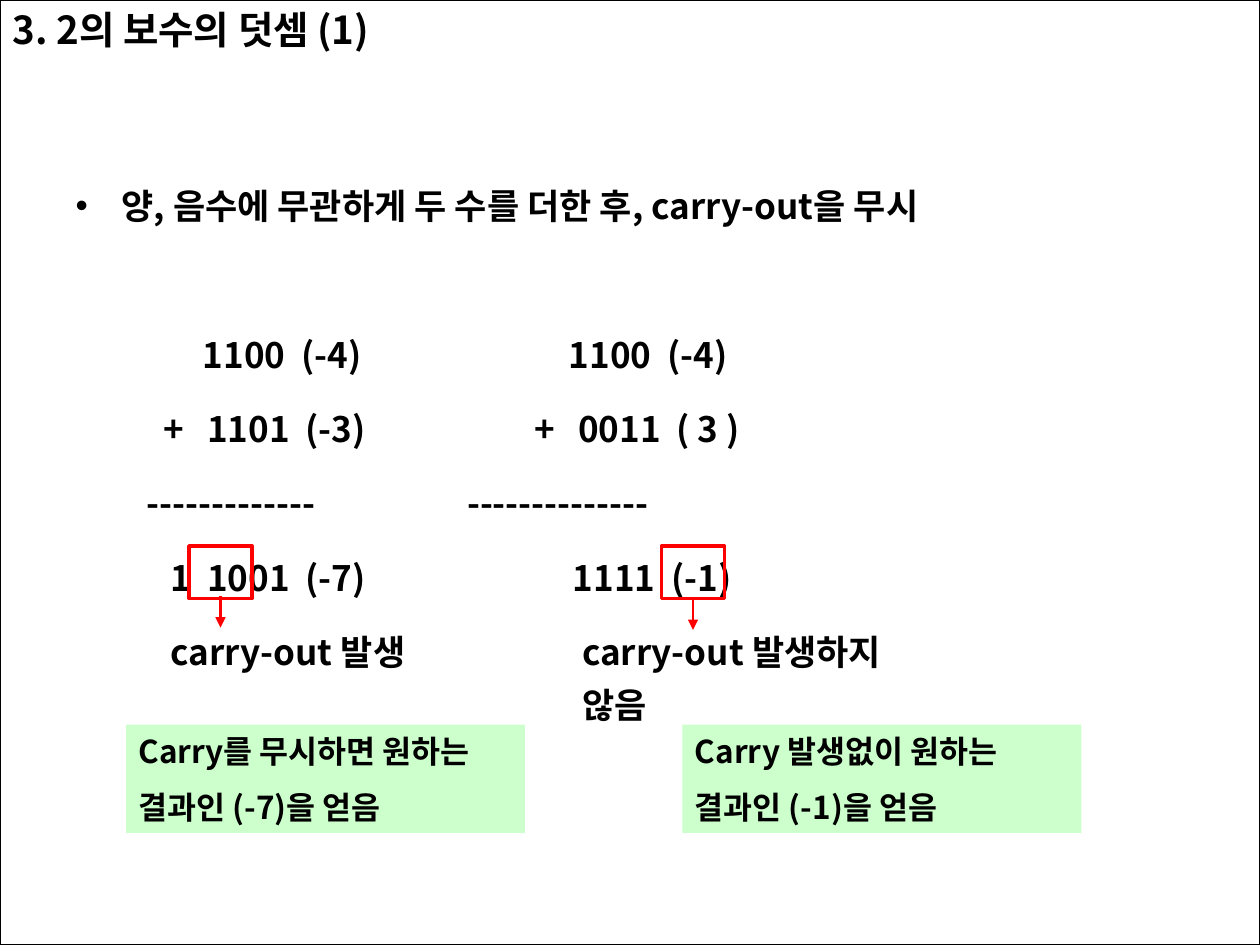
from lxml import etree
from pptx import Presentation
from pptx.dml.color import RGBColor
from pptx.enum import shapes, text
from pptx.oxml import ns
from pptx.util import Pt

FONT = "Noto Sans CJK KR"
BLACK = RGBColor(0x00, 0x00, 0x00)
RED = RGBColor(0xFF, 0x00, 0x00)
GREEN = RGBColor(0xCC, 0xFF, 0xCC)

BODY_LEFT, SUMS_TOP = 36, 180.9
ROW_PITCH, ROW_GAP = 42.5, 12.5
RULE = "-" * 13

# Each column lists its cells as (row, offset, words).
COLUMNS = [
    [(1, 50.1, "+"), (2, 40.9, RULE), (3, 54.5, "1"), (4, 54.5, "carry-out 발생")],
    [(0, 72.8, "1100"), (1, 75.4, "1101"), (3, 75.4, "1001")],
    [(0, 129.2, "(-4)"), (1, 131.6, "(-3)"), (3, 131.6, "(-7)")],
    [(1, 262.2, "+"), (2, 223.8, RULE + "-"), (4, 289.5, "carry-out 발생하지 않음")],
    [(0, 282, "1100"), (1, 287.3, "0011"), (3, 284.3, "1111")],
    [(0, 338.3, "(-4)"), (1, 343.6, "( 3 )"), (3, 340.6, "(-1)")],
]


def place(shape, left, top, width, height):
    """Move and size a shape, in points."""
    shape.left, shape.top = Pt(left), Pt(top)
    shape.width, shape.height = Pt(width), Pt(height)


def prepare(frame, anchor=text.MSO_ANCHOR.MIDDLE):
    """Give a text frame a fixed size, wrapping and an anchor."""
    frame.word_wrap = True
    frame.auto_size = text.MSO_AUTO_SIZE.NONE
    frame.vertical_anchor = anchor


def write(paragraph, words, size, before=0, spacing=1.0):
    """Add one bold black run to a left-aligned paragraph."""
    paragraph.alignment = text.PP_ALIGN.LEFT
    paragraph.line_spacing = spacing
    paragraph.space_before = Pt(before)
    run = paragraph.add_run()
    run.text = words
    run.font.name, run.font.size, run.font.bold = FONT, Pt(size), True
    run.font.color.rgb = BLACK
    etree.SubElement(run.font._element, ns.qn("a:ea"), typeface=FONT)


def indent(paragraph, margin, first=0):
    """Set the left margin and first-line indent of a paragraph."""
    props = paragraph._p.get_or_add_pPr()
    props.set("marL", str(Pt(margin)))
    props.set("indent", str(Pt(first)))
    return props


def add_title(slide):
    """Fill the title placeholder."""
    title = slide.shapes.title
    place(title, 0, 0, 381, 33)
    prepare(title.text_frame)
    write(title.text_frame.paragraphs[0], "3. 2의 보수의 덧셈 (1)", 22)


def add_rule(slide):
    """Fill the body placeholder with the bulleted rule of addition."""
    body = slide.placeholders[1]
    place(body, BODY_LEFT, 95.8, 636, 40)
    prepare(body.text_frame, text.MSO_ANCHOR.TOP)
    rule = body.text_frame.paragraphs[0]
    props = indent(rule, 26.2, -26.2)
    etree.SubElement(props, ns.qn("a:buChar"), char="•")
    write(rule, "양, 음수에 무관하게 두 수를 더한 후, carry-out을 무시", 20, spacing=1.25)


def add_column(slide, cells):
    """Add one column of the worked additions, row by row."""
    start = min(offset for _, offset, _ in cells)
    first, last = cells[0][0], cells[-1][0]
    width = 270 if last == 4 else 80
    column = slide.shapes.add_textbox(
        Pt(BODY_LEFT + start), Pt(SUMS_TOP + first * ROW_PITCH),
        Pt(width), Pt((last - first + 1) * ROW_PITCH))
    frame = column.text_frame
    prepare(frame, text.MSO_ANCHOR.TOP)
    previous = first
    for index, (row, offset, words) in enumerate(cells):
        paragraph = frame.add_paragraph() if index else frame.paragraphs[0]
        indent(paragraph, offset - start)
        before = ROW_GAP + (row - previous - 1) * ROW_PITCH if index else 0
        write(paragraph, words, 20, before, 1.25)
        previous = row


def add_box(slide, left, top, width, height, fill=None, line=None, weight=0):
    """Add a rectangle with an optional fill and outline."""
    box = slide.shapes.add_shape(shapes.MSO_SHAPE.RECTANGLE,
                                 Pt(left), Pt(top), Pt(width), Pt(height))
    box.shadow.inherit = False
    if fill is None:
        box.fill.background()
    else:
        box.fill.solid()
        box.fill.fore_color.rgb = fill
    if line is None:
        box.line.fill.background()
    else:
        box.line.color.rgb = line
        box.line.width = Pt(weight)
    return box


def add_arrow(slide, x, top, length):
    """Add a red arrow pointing down."""
    arrow = slide.shapes.add_connector(shapes.MSO_CONNECTOR.STRAIGHT,
                                       Pt(x), Pt(top), Pt(x), Pt(top + length))
    arrow.line.color.rgb = RED
    arrow.line.width = Pt(1.5)
    etree.SubElement(arrow.line._get_or_add_ln(), ns.qn("a:tailEnd"), type="triangle")
    etree.SubElement(arrow._element.spPr, ns.qn("a:effectLst"))


def add_conclusion(slide, left, lines):
    """Add a green box that states the result of one addition."""
    frame = add_box(slide, left, 414, 228, 62, fill=GREEN).text_frame
    prepare(frame)
    for index, words in enumerate(lines):
        paragraph = frame.add_paragraph() if index else frame.paragraphs[0]
        write(paragraph, words, 18, 10.5 if index else 0)


def main():
    """Build and save the slide."""
    deck = Presentation()
    deck.slide_width, deck.slide_height = Pt(720), Pt(540)
    slide = deck.slides.add_slide(deck.slide_layouts[1])
    add_box(slide, 0, 0, 720, 540, line=BLACK, weight=0.75)
    add_title(slide)
    add_rule(slide)
    for cells in COLUMNS:
        add_column(slide, cells)
    for carry_left, arrow_top in ((108, 340.6), (378, 342)):
        add_box(slide, carry_left, 312, 36, 30, line=RED, weight=2)
        add_arrow(slide, carry_left + 18, arrow_top, 18)
    add_conclusion(slide, 72, ("Carry를 무시하면 원하는", "결과인 (-7)을 얻음"))
    add_conclusion(slide, 390, ("Carry 발생없이 원하는", "결과인 (-1)을 얻음"))
    deck.save("out.pptx")


if __name__ == "__main__":
    main()
